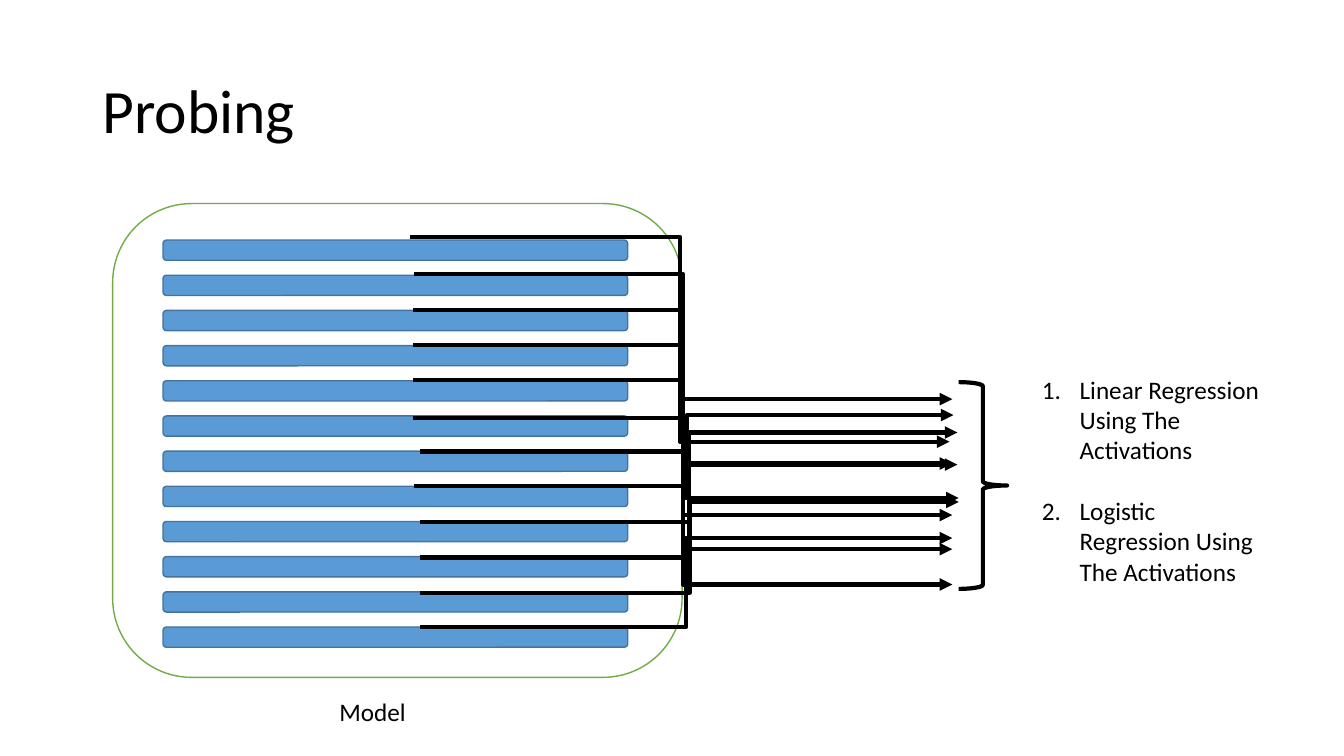
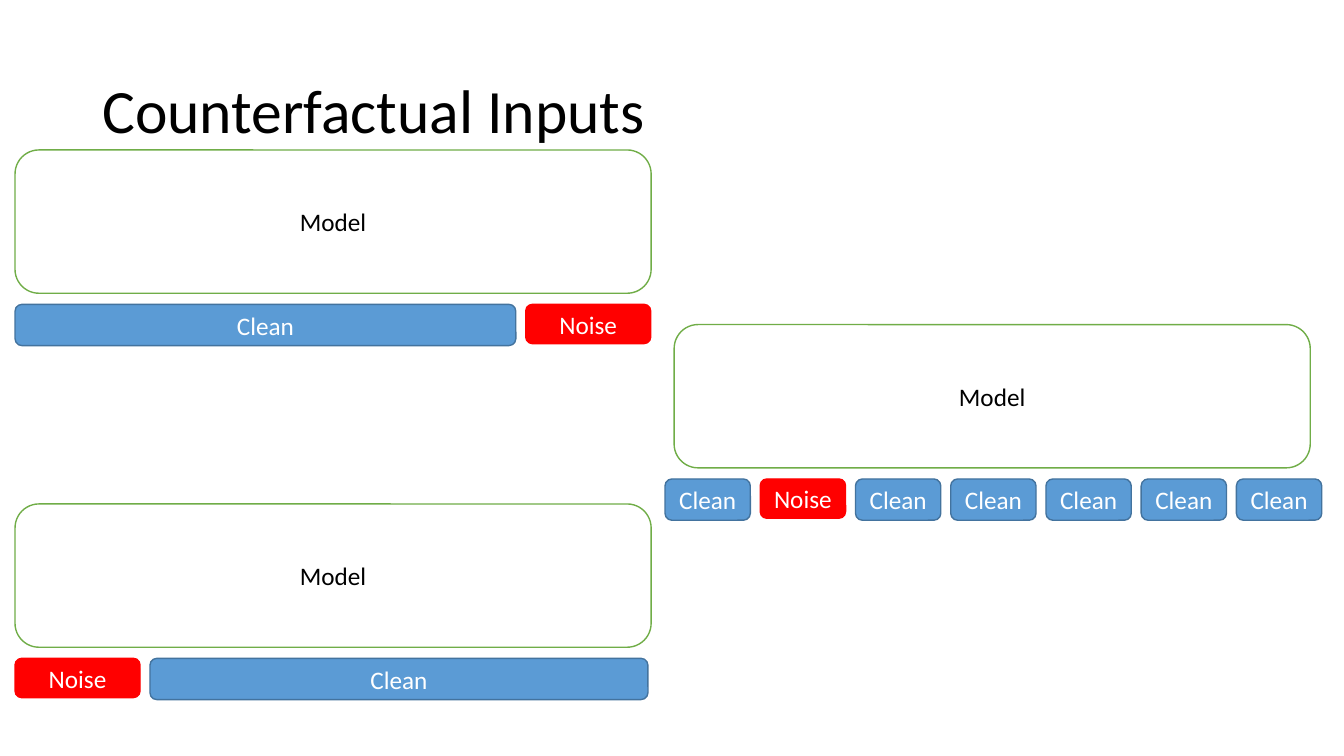
from lxml import etree
from pptx import Presentation
from pptx.dml.color import RGBColor
from pptx.enum import shapes as es, text as et
from pptx.oxml import ns
from pptx.util import Cm, Pt

# Content (lengths in cm)
HUES = {"ink": "000000", "paper": "FFFFFF", "green": "70AD47",
        "blue": "5B9BD5", "navy": "43739E", "red": "FF0000"}
FONT = "Calibri"
LABEL = "Model"
PROBES = ["Linear Regression Using The Activations",
          "Logistic Regression Using The Activations"]
BARS = dict(left=4.11, first=6.05, last=15.8, width=11.71, height=0.51)
# One arrow per layer: start x, start y, end x, end y
ARROWS = [
    (10.34, 5.97, 23.93, 11.13), (10.44, 6.91, 24, 11.68),
    (10.41, 7.82, 24, 12.98), (10.41, 8.69, 24, 13.84),
    (10.41, 9.58, 24, 14.73), (10.41, 10.54, 24.16, 12.55),
    (10.59, 11.38, 24.03, 10.46), (10.44, 12.24, 24, 10.06),
    (10.59, 13.16, 24.13, 10.9), (10.59, 14.05, 24.13, 11.71),
    (10.59, 14.94, 24.16, 12.65), (10.59, 15.8, 24, 13.56),
]
# Token styles: fill, line, height
KINDS = {"Clean": ("blue", "navy", 1.04), "Noise": ("red", "red", 0.99)}
# Model left and top, left of its tokens, tokens with widths
INPUTS = [
    (0.38, 3.78, 0.38, [("Clean", 12.62), ("Noise", 3.15)]),
    (16.99, 8.18, 16.76,
     [("Clean", 2.15), ("Noise", 2.15)] + [("Clean", 2.15)] * 5),
    (0.38, 12.7, 0.38, [("Noise", 3.15), ("Clean", 12.55)]),
]
WIDE, HIGH, GAP, DROP = 16.03, 3.61, 0.25, 0.28


def hue(name):
    return RGBColor.from_string(HUES[name])


def write(para, words, tint="ink", size=18, align=None):
    para.alignment = align
    run = para.add_run()
    run.text = words
    run.font.name, run.font.size = FONT, Pt(size)
    run.font.color.rgb = hue(tint)


def box(slide, x, y, w, h):
    frame = slide.shapes.add_textbox(Cm(x), Cm(y), Cm(w), Cm(h)).text_frame
    frame.word_wrap = True
    return frame


def block(slide, place, fill, line, words=None, tint="ink"):
    shape = slide.shapes.add_shape(es.MSO_SHAPE.ROUNDED_RECTANGLE,
                                   *map(Cm, place))
    shape.shadow.inherit = False
    shape.fill.solid()
    shape.fill.fore_color.rgb = hue(fill)
    shape.line.color.rgb = hue(line)
    shape.line.width = Pt(1)
    if words:
        frame = shape.text_frame
        frame.vertical_anchor = et.MSO_ANCHOR.MIDDLE
        write(frame.paragraphs[0], words, tint, align=et.PP_ALIGN.CENTER)


def arrow(slide, ends):
    link = slide.shapes.add_connector(es.MSO_CONNECTOR.ELBOW, *map(Cm, ends))
    link.line.color.rgb = hue("ink")
    link.line.width = Pt(3)
    etree.SubElement(link.line._get_or_add_ln(), ns.qn("a:tailEnd"),
                     type="triangle")
    etree.SubElement(link._element.spPr, ns.qn("a:effectLst"))


def number(para):
    props = para._p.get_or_add_pPr()
    props.set("marL", str(Cm(0.95)))
    props.set("indent", str(-Cm(0.95)))
    etree.SubElement(props, ns.qn("a:buFont"), typeface="+mj-lt")
    etree.SubElement(props, ns.qn("a:buAutoNum"), type="arabicPeriod")


def start(deck, title):
    slide = deck.slides.add_slide(deck.slide_layouts[6])
    frame = box(slide, 2.33, 1.01, 29.21, 3.68)
    frame.vertical_anchor = et.MSO_ANCHOR.MIDDLE
    para = frame.paragraphs[0]
    para.line_spacing = 0.9
    write(para, title, size=44)
    return slide


def probing(deck):
    slide = start(deck, "Probing")
    # Model and its layers
    block(slide, (2.84, 5.13, 14.35, 11.94), "paper", "green")
    step = (BARS["last"] - BARS["first"]) / (len(ARROWS) - 1)
    for row, ends in enumerate(ARROWS):
        top = BARS["first"] + row * step
        block(slide, (BARS["left"], top, BARS["width"], BARS["height"]),
              "blue", "navy")
    for ends in ARROWS:
        arrow(slide, ends)
    write(box(slide, 4.93, 17.42, 8.92, 1.02).paragraphs[0], LABEL,
          align=et.PP_ALIGN.CENTER)
    # Brace and probes
    brace = slide.shapes.add_shape(es.MSO_SHAPE.RIGHT_BRACE, Cm(24.16),
                                   Cm(9.63), Cm(1.22), Cm(5.21))
    brace.shadow.inherit = False
    brace.fill.background()
    brace.line.color.rgb = hue("ink")
    brace.line.width = Pt(3)
    frame = box(slide, 26.01, 9.3, 6.05, 5.64)
    for i, words in enumerate(PROBES):
        para = frame.add_paragraph() if i else frame.paragraphs[0]
        para.space_before = Pt(22 if i else 0)
        number(para)
        write(para, words)


def inputs(deck):
    slide = start(deck, "Counterfactual Inputs")
    for left, top, x, tokens in INPUTS:
        block(slide, (left, top, WIDE, HIGH), "paper", "green", LABEL)
        for kind, width in tokens:
            fill, line, height = KINDS[kind]
            block(slide, (x, top + HIGH + DROP, width, height),
                  fill, line, kind, "paper")
            x += width + GAP


def main():
    deck = Presentation()
    deck.slide_width, deck.slide_height = Cm(33.87), Cm(19.05)
    probing(deck)
    inputs(deck)
    deck.save("out.pptx")


if __name__ == "__main__":
    main()
